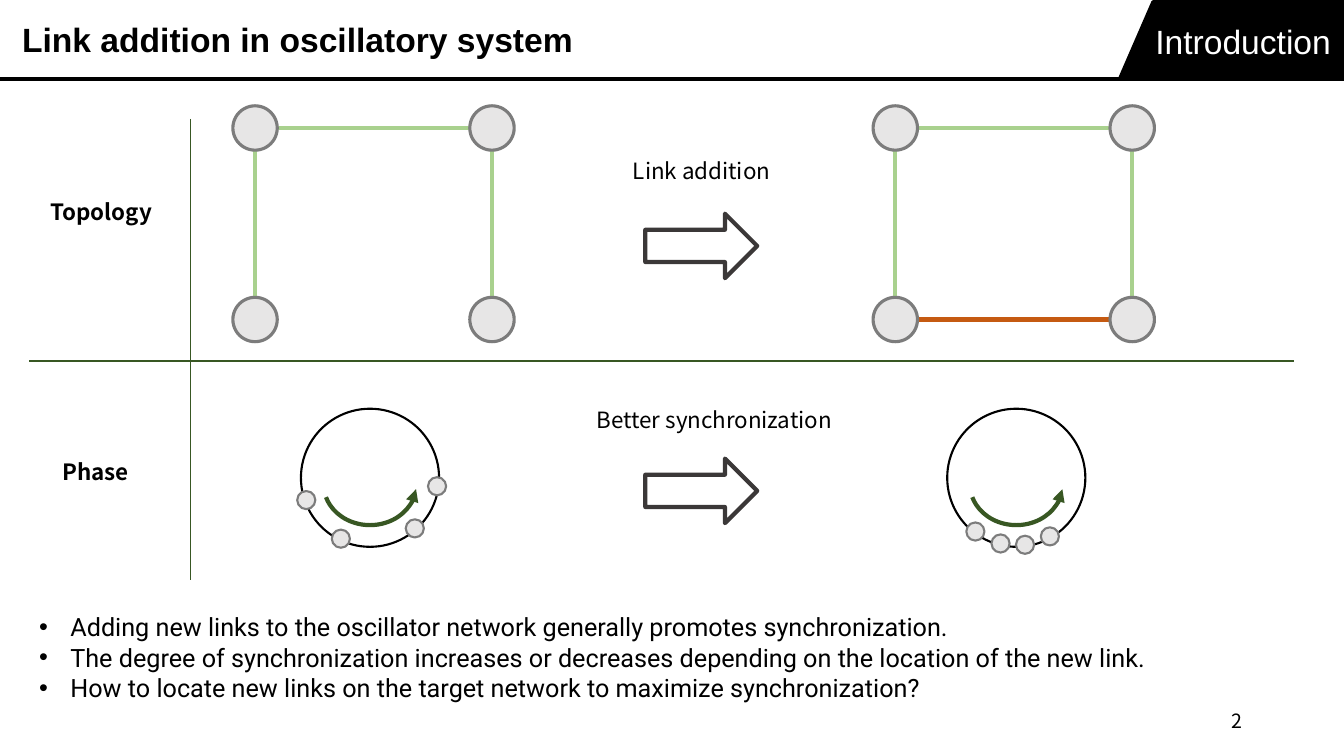
from dataclasses import dataclass
from math import cos, radians, sin

from pptx import Presentation
from pptx.dml.color import RGBColor
from pptx.enum.shapes import MSO_CONNECTOR, MSO_SHAPE
from pptx.enum.text import MSO_ANCHOR, PP_ALIGN
from pptx.oxml.ns import qn
from pptx.util import Inches, Pt
from lxml.etree import SubElement

# Content
TITLE = "Link addition in oscillatory system"
SECTION = "Introduction"
PAGE = "2"
NOTES = [
    "Adding new links to the oscillator network generally promotes synchronization.",
    "The degree of synchronization increases or decreases depending on the location of the new link.",
    "How to locate new links on the target network to maximize synchronization?",
]
# Row label with its box, step label with its box, top of the step arrow
ROWS = [
    ("Topology", (0.4, 1.92, 2.16, 0.37), "Link addition", (6.18, 1.51, 1.8, 0.37), 2.12),
    ("Phase", (0.52, 4.5, 1.15, 0.37), "Better synchronization", (5.82, 3.98, 2.72, 0.37), 4.55),
]
# Corners of a network as (column, row); links join two corners
NODES = [(0, 0), (1, 0), (0, 1), (1, 1)]
LINKS = [(0, 1), (0, 2), (1, 3)]
ADDED = (2, 3)
# Angles of the oscillators on each ring, clockwise from the right
BEFORE = [160.7, 115.6, 48.5, 7.2]
AFTER = [127.3, 103.5, 82.6, 60.2]


@dataclass(frozen=True)
class Theme:
    ink: str = "000000"
    paper: str = "FFFFFF"
    node: str = "E7E6E6"
    rim: str = "7C7C7C"
    link: str = "A9D18E"
    added: str = "C55A11"
    arrow: str = "3B3838"
    green: str = "385723"
    head: str = "Arial"
    body: str = "Roboto"
    label: str = "Noto Sans CJK KR"
    big: int = 24
    mid: int = 18
    small: int = 16
    tiny: int = 14


T = Theme()

# Grid in inches
WIDE, HIGH = 13.33, 7.5
RULE = 0.78
NETS = (2.53, 8.88)
NET_TOP, STEP_X, STEP_Y = 1.27, 2.35, 1.9
NODE = 0.44
RINGS = (3.67, 10.08)
RING_Y, RING, ORBIT, BEAD = 4.74, 1.37, 0.67, 0.18
ARC_W, ARC_H, ARC_TOP = 0.92, 0.81, 4.4

deck = Presentation()
deck.slide_width, deck.slide_height = Inches(WIDE), Inches(HIGH)
slide = deck.slides.add_slide(deck.slide_layouts[6])
shapes = slide.shapes


def rgb(code):
    return RGBColor.from_string(code)


def paint(shape, fill, color, width):
    shape.shadow.inherit = False
    if fill:
        shape.fill.solid()
        shape.fill.fore_color.rgb = rgb(fill)
    else:
        shape.fill.background()
    shape.line.color.rgb = rgb(color)
    shape.line.width = Pt(width)
    return shape


def draw(kind, box, fill, color, width):
    return paint(shapes.add_shape(kind, *map(Inches, box)), fill, color, width)


def disc(x, y, size, fill, color, width):
    box = (x - size / 2, y - size / 2, size, size)
    draw(MSO_SHAPE.OVAL, box, fill, color, width)


def line(start, end, color, width):
    rod = shapes.add_connector(MSO_CONNECTOR.STRAIGHT, *map(Inches, start + end))
    rod.line.color.rgb = rgb(color)
    rod.line.width = Pt(width)
    SubElement(rod.element.spPr, qn("a:effectLst"))


def write(text, box, font=T.label, size=T.small, color=T.ink, bold=False,
          align=PP_ALIGN.LEFT, anchor=MSO_ANCHOR.TOP, inset=None, wrap=True, bullet=False):
    frame = shapes.add_textbox(*map(Inches, box)).text_frame
    frame.word_wrap = wrap
    frame.vertical_anchor = anchor
    if inset is not None:
        frame.margin_left = frame.margin_right = Inches(inset)
        frame.margin_top = frame.margin_bottom = Inches(inset)
    frame.text = text
    for para in frame.paragraphs:
        para.alignment = align
        para.font.name, para.font.size, para.font.bold = font, Pt(size), bold
        para.font.color.rgb = rgb(color)
        for run in para.runs:
            run.font.name, run.font.size, run.font.bold = font, Pt(size), bold
            run.font.color.rgb = rgb(color)
            SubElement(run.font._element, qn("a:ea"), typeface=font)
        if bullet:
            props = para._p.get_or_add_pPr()
            props.set("marL", str(Inches(0.31)))
            props.set("indent", str(-Inches(0.31)))
            mark = SubElement(props, qn("a:buFont"), typeface="Arial")
            mark.addnext(SubElement(props, qn("a:buChar"), char="•"))
            props.insert(0, mark)
            props.insert(1, props.find(qn("a:buChar")))


def network(left, added):
    spots = [(left + col * STEP_X, NET_TOP + row * STEP_Y) for col, row in NODES]
    edges = [(pair, T.link) for pair in LINKS]
    if added:
        edges.append((ADDED, T.added))
    for (a, b), color in edges:
        line(spots[a], spots[b], color, 3)
    for x, y in spots:
        disc(x, y, NODE, T.node, T.rim, 2.25)


def ring(x, angles):
    disc(x, RING_Y, RING, None, T.ink, 1.5)
    for turn in map(radians, angles):
        disc(x + ORBIT * cos(turn), RING_Y + ORBIT * sin(turn), BEAD, T.node, T.rim, 1.5)
    # Arc that shows the direction of rotation
    arc = draw(MSO_SHAPE.ARC, (x - ARC_W / 2, ARC_TOP, ARC_W, ARC_H), None, T.green, 3)
    arc.adjustments[0], arc.adjustments[1] = 3.604, 98.241
    SubElement(arc.element.spPr.find(qn("a:ln")), qn("a:headEnd"), type="triangle")


# Header
tab = [(11.11, RULE), (11.44, 0.02), (13.31, 0), (13.32, 0.77)]
points = [(Inches(x), Inches(y)) for x, y in tab]
pen = shapes.build_freeform(*points[0], scale=1.0)
pen.add_line_segments(points[1:], close=True)
paint(pen.convert_to_shape(), T.ink, T.ink, 3)
line((0, RULE), (WIDE, RULE), T.ink, 3)
top = dict(font=T.head, size=T.big, anchor=MSO_ANCHOR.MIDDLE, inset=0.06)
write(SECTION, (11.11, 0.15, 2.15, 0.52), color=T.paper, align=PP_ALIGN.RIGHT, **top)
write(TITLE, (0.16, 0.13, 5.62, 0.52), bold=True, wrap=False, **top)

# Networks and rings
for left, added in zip(NETS, (False, True)):
    network(left, added)
for x, angles in zip(RINGS, (BEFORE, AFTER)):
    ring(x, angles)

# Row labels, steps and dividers
for name, spot, step, place, y in ROWS:
    write(name, spot, bold=True)
    write(step, place)
    draw(MSO_SHAPE.RIGHT_ARROW, (6.4, y, 1.11, 0.64), None, T.arrow, 3)
line((0.29, 3.58), (12.83, 3.58), T.green, 1)
line((1.89, 1.18), (1.89, 5.75), T.green, 1)

# Notes and page number
write("\n".join(NOTES), (0.29, 6.02, 12.1, 1.01), font=T.body, size=T.mid, bullet=True)
write(PAGE, (9.42, 6.95, 3, 0.4), size=T.tiny, align=PP_ALIGN.RIGHT, anchor=MSO_ANCHOR.MIDDLE)

deck.save("out.pptx")
